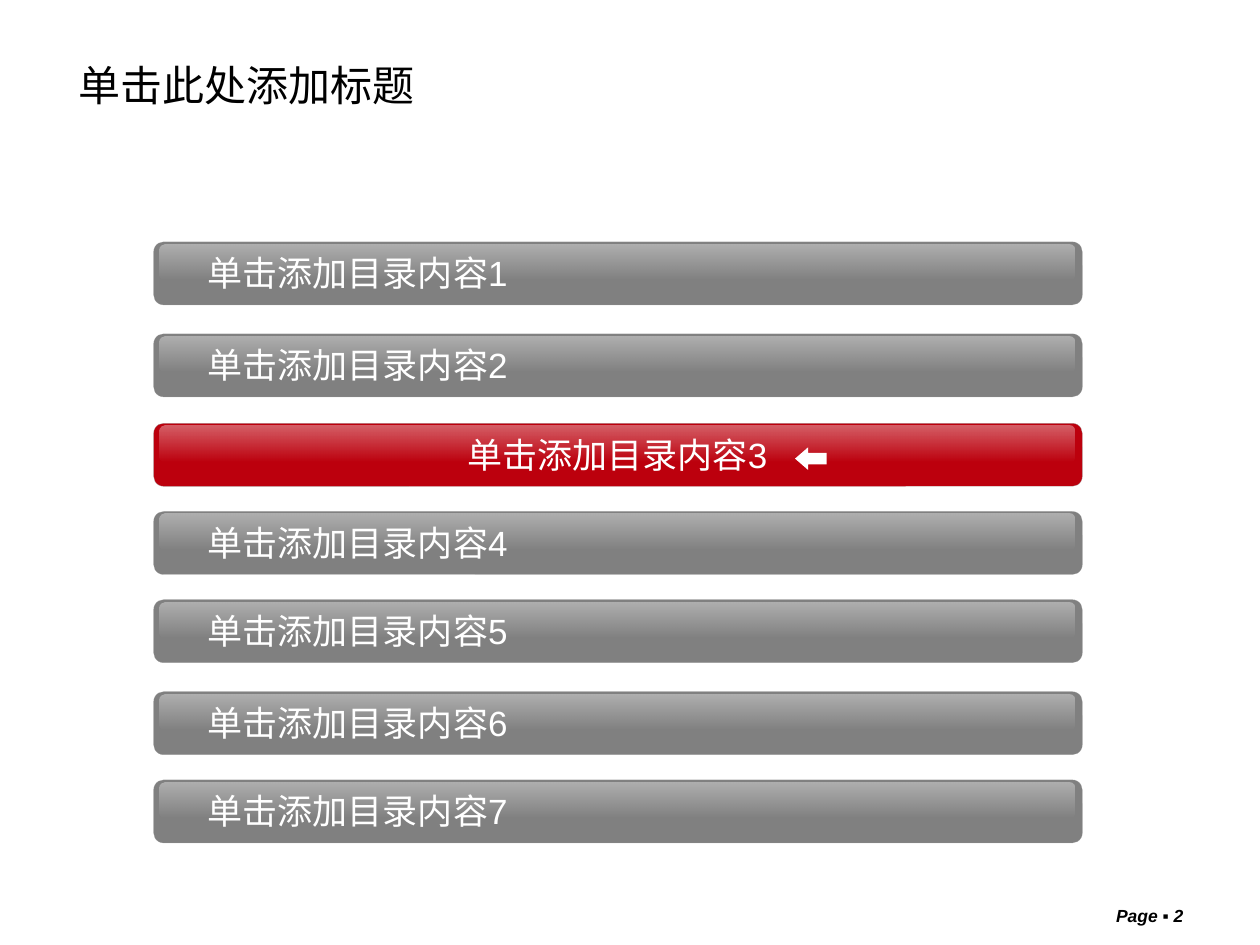
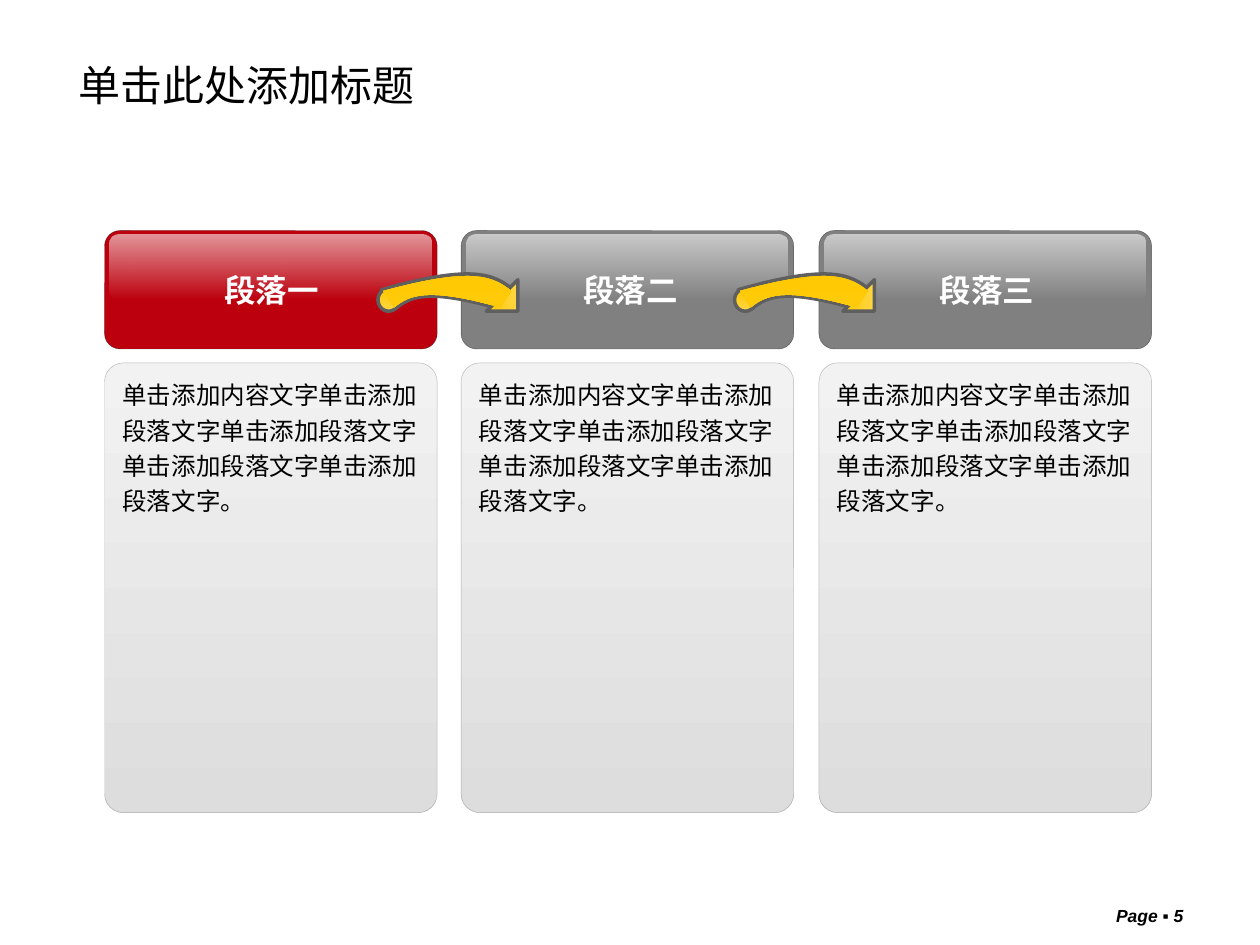
from dataclasses import dataclass

from lxml.etree import SubElement as Sub
from pptx import Presentation
from pptx.dml.color import RGBColor as Rgb
from pptx.enum.shapes import MSO_SHAPE as Form
from pptx.enum.text import MSO_ANCHOR as Anchor, MSO_AUTO_SIZE as Fit, PP_ALIGN as Align
from pptx.oxml.ns import qn
from pptx.util import Inches, Pt


@dataclass(frozen=True)
class Theme:
    font: str = "Arial"
    black: str = "000000"
    white: str = "FFFFFF"
    red: str = "BC000D"
    gray: str = "808080"
    edge: str = "969696"
    dark: str = "1C1C1C"
    rim: str = "5F5F5F"
    gold: tuple = ("FFC800", "FFD643")
    pale: tuple = ("F2F2F2", "DDDDDD")
    title: int = 24
    item: int = 20
    head: int = 18
    body: int = 14
    foot: int = 10


LOOK = Theme()
TOPS = [1.92, 2.65, 3.36, 4.06, 4.76, 5.49, 6.19]
ACTIVE = 3
LEFTS = [0.83, 3.66, 6.5]
HEADS = [("段落一", 0.83, 2.65), ("段落二", 3.75, 2.51), ("段落三", 6.56, 2.55)]
BODY = "单击添加内容文字" + "单击添加段落文字" * 4 + "。"
OUTLINE = dict(top=2.1, inner=[(0.41, 2.45), (0.29, 2.35), (0.15, 2.29), (0, 2.29)],
               outer=[(0.52, 2.3), (0.37, 2.17), (0.18, 2.1), (0, 2.1)])
SHINE = dict(top=2.12, inner=[(0.42, 2.44), (0.3, 2.34), (0.15, 2.28), (0, 2.28)],
             outer=[(0.51, 2.31), (0.36, 2.19), (0.18, 2.12), (0, 2.12)])


def fade(color, alpha):
    Sub(color, qn("a:alpha"), val=str(alpha * 1000))


def blend(shape, pair, alphas=()):
    fill = shape.fill
    fill.gradient()
    fill.gradient_angle = 270
    for stop, tone in zip(fill.gradient_stops, pair):
        stop.color.rgb = Rgb.from_string(tone)
    colors = shape._element.spPr.findall(".//" + qn("a:srgbClr"))
    for color, alpha in zip(colors, alphas):
        fade(color, alpha)


def paint(shape, fill, edge=None, width=0.25, alpha=None):
    shape.shadow.inherit = False
    if isinstance(fill, tuple):
        blend(shape, fill)
    else:
        shape.fill.solid()
        shape.fill.fore_color.rgb = Rgb.from_string(fill)
    if edge is None:
        shape.line.fill.background()
        return
    shape.line.color.rgb = Rgb.from_string(edge)
    shape.line.width = Pt(width)
    if alpha:
        line = shape._element.spPr.find(qn("a:ln"))
        fade(line.find(".//" + qn("a:srgbClr")), alpha)


def add_form(slide, form, box, fill, edge=None, width=0.25, alpha=None, adjust=()):
    shape = slide.shapes.add_shape(form, *map(Inches, box))
    for index, value in enumerate(adjust):
        shape.adjustments[index] = value
    paint(shape, fill, edge, width, alpha)
    return shape


def add_gloss(slide, box, adjust, alpha):
    shape = add_form(slide, Form.ROUNDED_RECTANGLE, box, LOOK.white, adjust=[adjust])
    blend(shape, (LOOK.white, LOOK.white), (0, alpha))
    return shape


def write(shape, text, size, color, align=Align.LEFT, anchor=Anchor.TOP,
          bold=False, slant=False, space=None):
    frame = shape.text_frame
    frame.word_wrap = True
    frame.auto_size = Fit.NONE
    frame.vertical_anchor = anchor
    frame.text = text
    para = frame.paragraphs[0]
    para.alignment = align
    if space:
        para.line_spacing = space
    font = para.runs[0].font
    font.name = LOOK.font
    font.size = Pt(size)
    font.bold = bold
    font.italic = slant
    font.color.rgb = Rgb.from_string(color)


def add_label(slide, box, *args, **style):
    write(slide.shapes.add_textbox(*map(Inches, box)), *args, **style)


def add_page(deck, number):
    slide = deck.slides.add_slide(deck.slide_layouts[5])
    title = slide.shapes.title
    title.left, title.top, title.width, title.height = map(Inches, (0.52, 0.35, 6.38, 0.65))
    write(title, "单击此处添加标题", LOOK.title, LOOK.black, anchor=Anchor.MIDDLE)
    add_label(slide, (7.91, 7.13, 1.58, 0.22), f"Page ▪ {number}", LOOK.foot, LOOK.black,
              align=Align.RIGHT, bold=True, slant=True)
    return slide


def add_row(slide, number, top):
    active = number == ACTIVE
    add_form(slide, Form.ROUNDED_RECTANGLE, (1.22, top, 7.37, 0.5),
             LOOK.red if active else LOOK.gray, LOOK.edge, alpha=57, adjust=[0.157])
    gloss = add_gloss(slide, (1.27, top + 0.02, 7.26, 0.28), 0.143, 38)
    gloss._element.spPr.find(qn("a:xfrm")).set("flipV", "1")
    left, width = (1.22, 7.36) if active else (1.55, 7.04)
    add_label(slide, (left, top + 0.03, width, 0.43), f"单击添加目录内容{number}",
              LOOK.item, LOOK.white, align=Align.CENTER if active else Align.LEFT,
              anchor=Anchor.MIDDLE)


def add_head(slide, left, head, fill):
    add_form(slide, Form.ROUNDED_RECTANGLE, (left, 1.83, 2.64, 0.94), fill,
             LOOK.dark, alpha=57, adjust=[0.131])
    gloss = add_gloss(slide, (left + 0.04, 1.86, 2.55, 0.52), 0.13, 59)
    gloss.rotation = 180
    text, start, width = head
    add_label(slide, (start, 2.1, width, 0.4), text, LOOK.head, LOOK.white,
              align=Align.CENTER, bold=True)


def add_panel(slide, left):
    shape = add_form(slide, Form.ROUNDED_RECTANGLE, (left, 2.88, 2.64, 3.57), LOOK.pale,
                     LOOK.edge, alpha=68, adjust=[0.057])
    write(shape, BODY, LOOK.body, LOOK.black, space=1.2)


def mirror(side):
    return side + [(-x, y) for x, y in reversed(side[:-1])]


def add_arc(slide, mid, top, inner, outer, edge=None):
    wide, high = Inches(1.66), Inches(1.83)
    left = Inches(mid) - wide // 2
    pen = slide.shapes.build_freeform(left, Inches(top))
    pen.add_line_segments([(left + wide, Inches(top + 1.83))])
    shape = pen.convert_to_shape()
    trail = shape._element.spPr.find(".//" + qn("a:path"))
    for part in list(trail):
        trail.remove(part)
    trail.set("w", str(wide))
    trail.set("h", str(high))

    def draw(kind, points):
        part = Sub(trail, qn(kind))
        for x, y in points:
            Sub(part, qn("a:pt"), x=str(Inches(x + 0.83)), y=str(Inches(y - top)))

    under = [(-x, y) for x, y in mirror(inner)]
    over = mirror(outer)
    draw("a:moveTo", under[:1])
    draw("a:cubicBezTo", under[1:])
    draw("a:lnTo", over[:1])
    draw("a:cubicBezTo", over[1:])
    Sub(trail, qn("a:close"))
    paint(shape, LOOK.gold, edge, 2)


def add_swoop(slide, mid):
    add_arc(slide, mid, **OUTLINE, edge=LOOK.rim)
    tip = add_form(slide, Form.RIGHT_TRIANGLE, (mid + 0.31, 2.22, 0.25, 0.25),
                   LOOK.gold, LOOK.rim, 2)
    tip.rotation = 270
    add_form(slide, Form.OVAL, (mid - 0.55, 2.29, 0.17, 0.18), LOOK.gold, LOOK.rim, 2)
    add_arc(slide, mid, **SHINE)


def draw_list(deck):
    slide = add_page(deck, 2)
    for number, top in enumerate(TOPS, 1):
        add_row(slide, number, top)
    add_form(slide, Form.LEFT_ARROW, (6.31, 3.55, 0.25, 0.18), LOOK.white,
             adjust=[0.5, 0.577])


def draw_steps(deck):
    slide = add_page(deck, 5)
    for col, (left, head) in enumerate(zip(LEFTS, HEADS)):
        add_head(slide, left, head, LOOK.gray if col else LOOK.red)
    for left in LEFTS[:-1]:
        add_swoop(slide, left + 2.72)
    for left in LEFTS:
        add_panel(slide, left)


def main():
    deck = Presentation()
    deck.slide_width = Inches(10)
    deck.slide_height = Inches(7.5)
    draw_list(deck)
    draw_steps(deck)
    deck.save("out.pptx")


if __name__ == "__main__":
    main()
